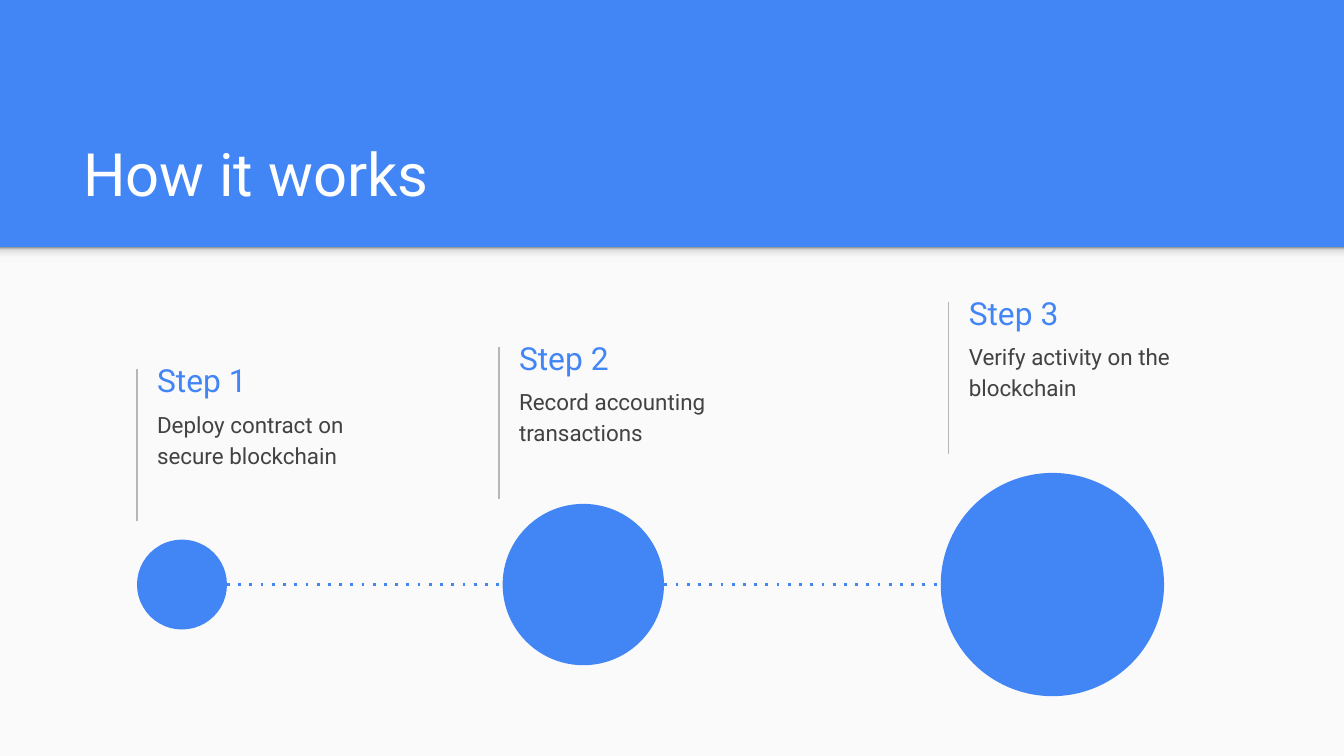
from lxml import etree
from pptx import Presentation
from pptx import util as u
from pptx.dml import color
from pptx.enum import dml, shapes, text
from pptx.oxml import ns

BLUE, PALE, GRAY, DARK, WHITE = "4285F4", "FAFAFA", "B7B7B7", "424242", "FFFFFF"
FONT = "Roboto"

# Content: heading, text, rule (left, top), circle (left, diameter), in cm
TITLE = "How it works"
STEPS = [
    ("Step 1", "Deploy contract on secure blockchain", (2.59, 6.97), (2.59, 1.7)),
    ("Step 2", "Record accounting transactions", (9.43, 6.55), (9.5, 3.05)),
    ("Step 3", "Verify activity on the blockchain", (17.93, 5.7), (17.78, 4.22)),
]
SHADE = [(0, "F9F9F9"), (36, "F9F9F9"), (80, "DEDEDE"), (100, "999999")]

# Layout, in cm
WIDE, HIGH = 25.4, 14.29
BAND = 4.67    # bottom of the blue band
AXIS = 11.05   # centre line of the circles
RULE = 2.88    # length of a step's rule

deck = Presentation()
deck.slide_width, deck.slide_height = u.Cm(WIDE), u.Cm(HIGH)
slide = deck.slides.add_slide(deck.slide_layouts[6])


def rgb(code):
    return color.RGBColor.from_string(code)


def add_text(words, x, y, w, h, size=12, ink=DARK,
             anchor=text.MSO_ANCHOR.TOP, lead=None):
    box = slide.shapes.add_textbox(u.Cm(x), u.Cm(y), u.Cm(w), u.Cm(h))
    frame = box.text_frame
    frame.word_wrap = True
    frame.vertical_anchor = anchor
    frame.margin_left = frame.margin_right = u.Cm(0.25)
    frame.margin_top = frame.margin_bottom = u.Cm(0.25)
    para = frame.paragraphs[0]
    para.line_spacing = lead
    run = para.add_run()
    run.text = words
    run.font.name, run.font.size = FONT, u.Pt(size)
    run.font.color.rgb = rgb(ink)


def add_form(kind, x, y, w, h, fill):
    form = slide.shapes.add_shape(kind, u.Cm(x), u.Cm(y), u.Cm(w), u.Cm(h))
    form.shadow.inherit = False
    form.fill.solid()
    form.fill.fore_color.rgb = rgb(fill)
    form.line.fill.background()
    return form


def add_line(x1, y1, x2, y2, ink, width):
    line = slide.shapes.add_connector(
        shapes.MSO_CONNECTOR.STRAIGHT, u.Cm(x1), u.Cm(y1), u.Cm(x2), u.Cm(y2))
    line.line.color.rgb = rgb(ink)
    line.line.width = u.Pt(width)
    etree.SubElement(line._element.spPr, ns.qn("a:effectLst"))
    return line


def shade(form, stops):
    """Swap the solid fill for a gradient that runs upwards."""
    old = form._element.spPr.find(ns.qn("a:solidFill"))
    grad = etree.Element(ns.qn("a:gradFill"))
    group = etree.SubElement(grad, ns.qn("a:gsLst"))
    for at, code in stops:
        stop = etree.SubElement(group, ns.qn("a:gs"), pos=str(at * 1000))
        etree.SubElement(stop, ns.qn("a:srgbClr"), val=code)
    etree.SubElement(grad, ns.qn("a:lin"), ang=str(270 * 60000), scaled="0")
    old.getparent().replace(old, grad)


# Blue ground, pale lower panel and the band's soft shadow
ground = slide.background.fill
ground.solid()
ground.fore_color.rgb = rgb(BLUE)
RECT, OVAL = shapes.MSO_SHAPE.RECTANGLE, shapes.MSO_SHAPE.OVAL
add_form(RECT, 0, BAND, WIDE, HIGH - BAND, PALE)
shade(add_form(RECT, 0, BAND, WIDE, 0.3, PALE), SHADE)

# Title
add_text(TITLE, 1.32, 2.06, 22.83, 2.13, size=32, ink=WHITE,
         anchor=text.MSO_ANCHOR.BOTTOM)

# Rule, heading and text of each step
for head, body, (x, y), _ in STEPS:
    add_line(x, y, x, y + RULE, GRAY, 0.75)
    add_text(head, x + 0.13, y - 0.34, 5.03, 1.09, size=17, ink=BLUE,
             anchor=text.MSO_ANCHOR.MIDDLE)
    add_text(body, x + 0.13, y + 0.47, 5.03, 1.6, lead=1.15)

# Dotted line from the first circle to the last, behind the middle one
left, size = STEPS[0][3]
dots = add_line(left + size, AXIS, STEPS[-1][3][0], AXIS, BLUE, 1.5)
dots.line.dash_style = dml.MSO_LINE.ROUND_DOT
for dash in dots._element.iter(ns.qn("a:prstDash")):
    dash.set("val", "dot")

# Circles
for *_, (left, size) in STEPS:
    add_form(OVAL, left, AXIS - size / 2, size, size, BLUE)

deck.save("out.pptx")
